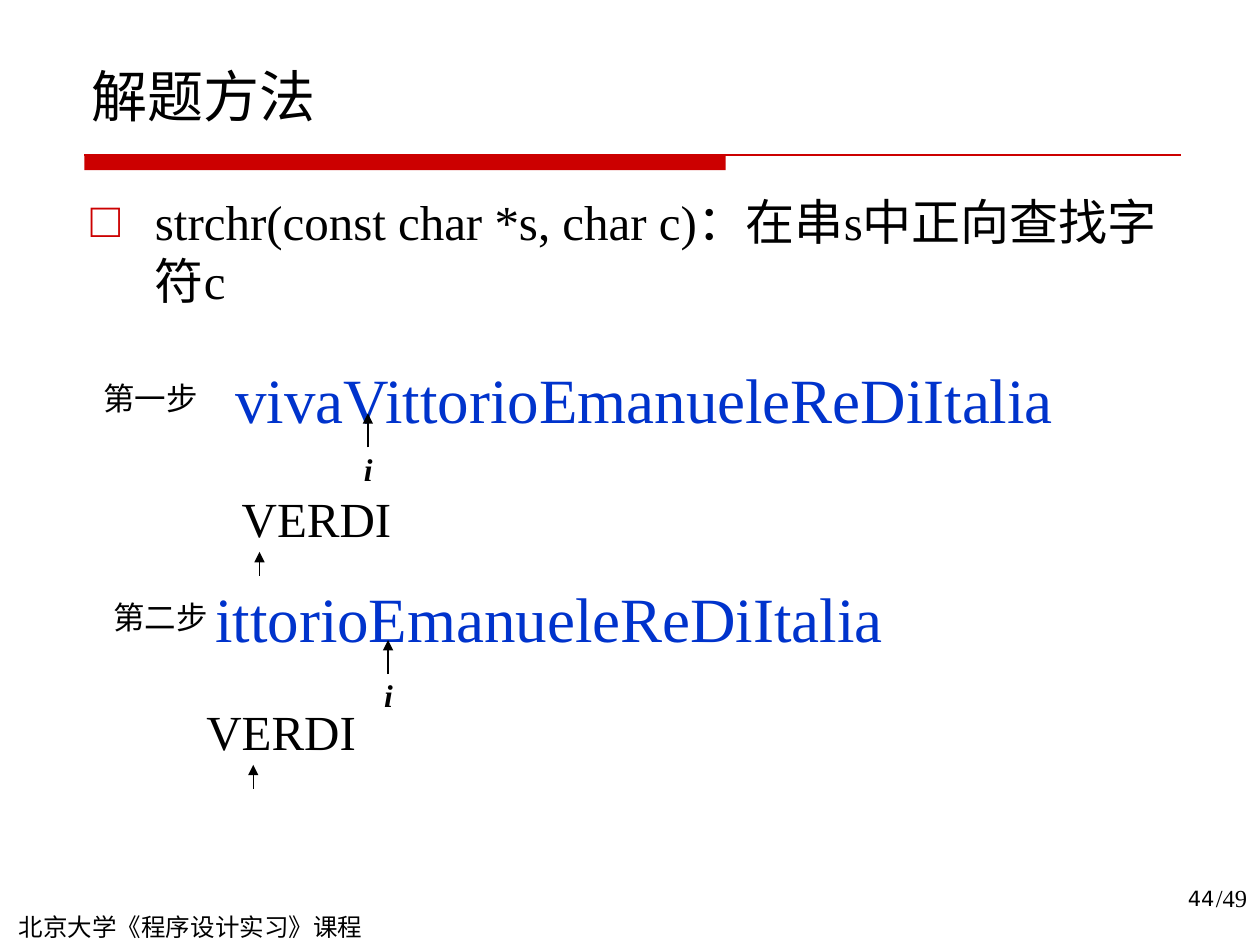
from dataclasses import dataclass

from pptx import Presentation
from pptx.dml.color import RGBColor
from pptx.enum.shapes import MSO_CONNECTOR, MSO_SHAPE
from pptx.enum.text import MSO_ANCHOR, MSO_AUTO_SIZE, PP_ALIGN
from pptx.oxml.ns import qn
from pptx.util import Inches, Pt
from lxml import etree

STRAIGHT = MSO_CONNECTOR.STRAIGHT
RECTANGLE = MSO_SHAPE.RECTANGLE
TOP, BOTTOM = MSO_ANCHOR.TOP, MSO_ANCHOR.BOTTOM
NO_AUTOFIT = MSO_AUTO_SIZE.NONE
LEFT, RIGHT = PP_ALIGN.LEFT, PP_ALIGN.RIGHT


@dataclass(frozen=True)
class Theme:
    """Fonts, colours and type sizes of the deck."""
    font: str = "Times New Roman"
    number_font: str = "DejaVu Sans"
    ink: str = "000000"
    accent: str = "CC0000"
    string: str = "0033CC"
    title_size: int = 32
    body_size: int = 28
    string_size: int = 36
    label_size: int = 18
    footer_size: int = 14
    number_size: int = 12
    line_width: float = 0.75


@dataclass(frozen=True)
class Box:
    """A rectangle in inches."""
    left: float
    top: float
    width: float
    height: float

    def lengths(self):
        """Return left, top, width and height as lengths."""
        return [Inches(v) for v in (self.left, self.top, self.width, self.height)]


@dataclass(frozen=True)
class Step:
    """One search step: its string, and offsets from the top left of its box."""
    label: str
    text: str
    text_left: float
    index: tuple
    word: tuple
    mark: tuple


THEME = Theme()
STEPS = [
    (Box(0.72, 2.81, 7.9, 1.76),
     Step("第一步", "vivaVittorioEmanueleReDiItalia", 1.05,
          (2.2, 0.47), (1.1, 1.02), (1.34, 1.57))),
    (Box(0.8, 4.55, 6.44, 1.72),
     Step("第二步", "ittorioEmanueleReDiItalia", 0.81,
          (2.28, 0.53), (0.74, 0.97), (1.21, 1.52))),
]


def write(frame, text, size, color=THEME.ink, font=THEME.font, align=LEFT, strong=False):
    """Write one formatted run in the first paragraph of a frame."""
    frame.word_wrap = True
    frame.auto_size = NO_AUTOFIT
    para = frame.paragraphs[0]
    para.alignment = align
    para.space_before = Pt(0)
    span = para.add_run()
    span.text = text
    span.font.size = Pt(size)
    span.font.name = font
    span.font.color.rgb = RGBColor.from_string(color)
    if strong:
        span.font.bold = span.font.italic = True
    return para


def add_text(page, box, text, size, side_inset=0.1, right_inset=None, **style):
    """Add a text box."""
    frame = page.shapes.add_textbox(*box.lengths()).text_frame
    frame.margin_left = Inches(side_inset)
    frame.margin_right = Inches(side_inset if right_inset is None else right_inset)
    write(frame, text, size, **style)


def add_line(page, start, end, color, arrow=False):
    """Add a straight line, with an arrowhead at its end if asked."""
    line = page.shapes.add_connector(STRAIGHT, *[Inches(v) for v in (*start, *end)])
    line.line.color.rgb = RGBColor.from_string(color)
    line.line.width = Pt(THEME.line_width)
    if arrow:
        outline = line.line._get_or_add_ln()
        etree.SubElement(outline, qn("a:tailEnd"), type="triangle")
    etree.SubElement(line._element.spPr, qn("a:effectLst"))


def add_up_arrow(page, left, top, height):
    """Add an arrow that points up to the given top."""
    add_line(page, (left, top + height), (left, top), THEME.ink, arrow=True)


def add_rule(page, box, bar_width):
    """Draw the thin rule and the thick bar under the title."""
    bar = page.shapes.add_shape(
        RECTANGLE, *Box(box.left, box.top, bar_width, box.height).lengths())
    bar.shadow.inherit = False
    bar.fill.solid()
    bar.fill.fore_color.rgb = RGBColor.from_string(THEME.accent)
    bar.line.fill.background()
    add_line(page, (box.left, box.top), (box.left + box.width, box.top), THEME.accent)


def place(holder, box, anchor):
    """Move a placeholder to a box and return its text frame."""
    holder.left, holder.top, holder.width, holder.height = box.lengths()
    holder.text_frame.vertical_anchor = anchor
    return holder.text_frame


def fill_title(page, box, text):
    """Fill the title placeholder."""
    write(place(page.shapes.title, box, BOTTOM), text, THEME.title_size)


def fill_body(page, box, text, indent):
    """Fill the body placeholder with one bulleted paragraph."""
    para = write(place(page.placeholders[1], box, TOP), text, THEME.body_size)
    props = para._p.get_or_add_pPr()
    props.set("marL", str(Inches(indent)))
    props.set("indent", str(-Inches(indent)))
    color = etree.SubElement(props, qn("a:buClr"))
    etree.SubElement(color, qn("a:srgbClr"), val=THEME.accent)
    etree.SubElement(props, qn("a:buFont"), typeface=THEME.font)
    etree.SubElement(props, qn("a:buChar"), char="□")


def add_step(page, box, step):
    """Draw one search step with its string, its word and both pointers."""
    def at(left, top, width, height):
        return Box(box.left + left, box.top + top, width, height)

    add_text(page, at(0, 0.15, 1.1, 0.4), step.label, THEME.label_size)
    add_text(page, at(step.text_left, 0, box.width - step.text_left, 0.7),
             step.text, THEME.string_size, color=THEME.string)
    add_text(page, at(*step.word, 1.4, 0.57), "VERDI", THEME.body_size)
    index_left, index_top = box.left + step.index[0], box.top + step.index[1]
    add_up_arrow(page, index_left, index_top, 0.27)
    add_text(page, Box(index_left - 0.13, index_top + 0.24, 0.71, 0.4),
             "i", THEME.label_size, strong=True)
    add_up_arrow(page, box.left + step.mark[0], box.top + step.mark[1], 0.19)


def add_footer(page, box):
    """Write the course name and the page number along the bottom."""
    right = box.left + box.width
    add_text(page, Box(box.left, box.top + 0.23, 4.95, 0.34),
             "北京大学《程序设计实习》课程", THEME.footer_size)
    add_text(page, Box(right - 0.31, box.top, 0.31, 0.34), "/49",
             THEME.footer_size, side_inset=0)
    add_text(page, Box(right - 2.1, box.top + 0.02, 1.78, 0.52), "44",
             THEME.number_size, right_inset=0, font=THEME.number_font, align=RIGHT)


def main():
    """Build and save the deck."""
    deck = Presentation()
    deck.slide_width, deck.slide_height = Inches(10), Inches(7.5)
    page = deck.slides.add_slide(deck.slide_layouts[1])
    add_rule(page, Box(0.67, 1.23, 8.7, 0.12), bar_width=5.09)
    add_footer(page, Box(0.05, 6.96, 9.91, 0.54))
    fill_title(page, Box(0.63, 0.33, 8.75, 0.74), "解题方法")
    fill_body(page, Box(0.62, 1.47, 8.75, 5.43),
              "strchr(const char *s, char c)：在串s中正向查找字符c", indent=0.51)
    for box, step in STEPS:
        add_step(page, box, step)
    deck.save("out.pptx")


if __name__ == "__main__":
    main()
